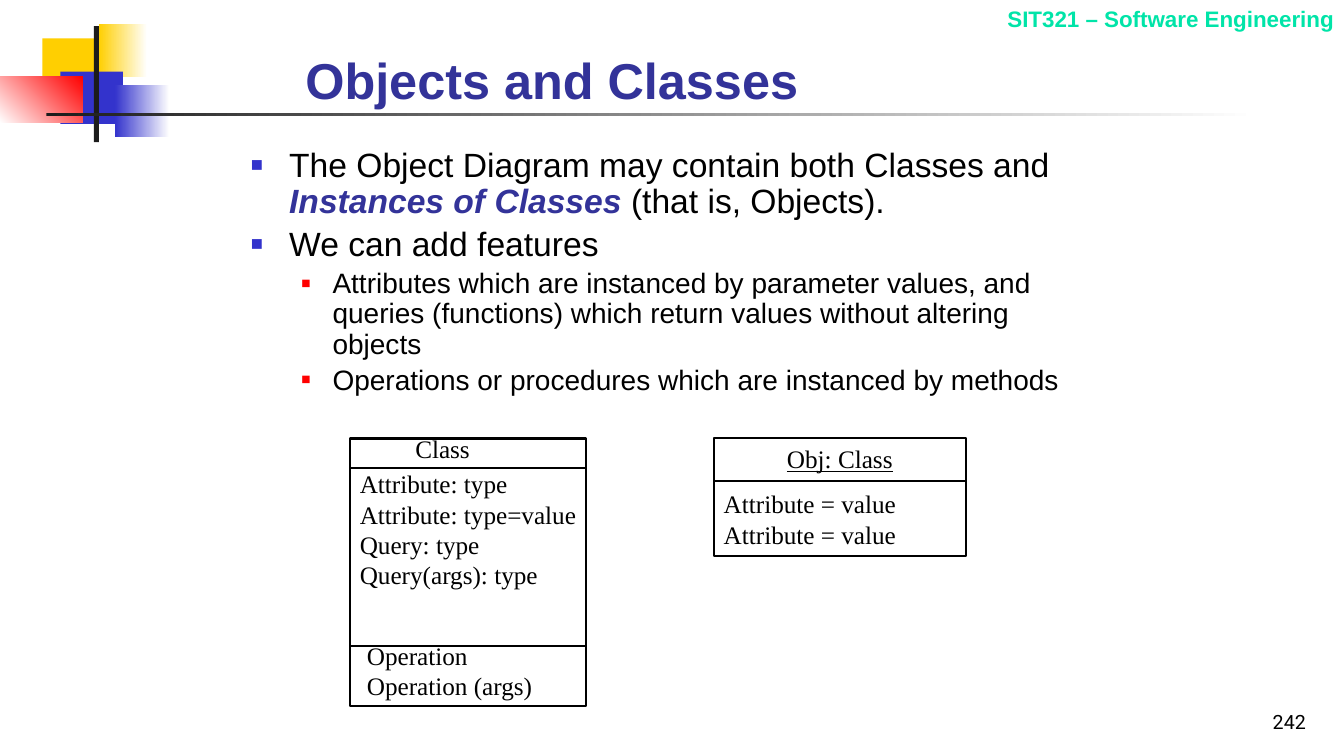
from dataclasses import dataclass

from lxml import etree
from pptx import Presentation
from pptx.dml.color import RGBColor
from pptx.enum import shapes, text
from pptx.oxml import ns
from pptx.util import Inches, Pt


@dataclass(frozen=True)
class Theme:
    sans: str = "Arial"
    serif: str = "Times New Roman"
    number_font: str = "Roboto"
    black: str = "000000"
    white: str = "FFFFFF"
    ink: str = "1C1C1C"
    yellow: str = "FFCF01"
    blue: str = "3333CC"
    red: str = "FF0000"
    heading: str = "333399"
    course: str = "00E4A8"
    title_size: int = 36
    point_size: int = 24
    subpoint_size: int = 20
    diagram_size: int = 18
    course_size: int = 16
    number_size: int = 14
    line_width: float = 1.5


THEME = Theme()

# Left, top, width, height, colours (two make a gradient), angle
ORNAMENTS = [
    (0.42, 0.38, 0.64, 0.52, [THEME.yellow], 0),
    (0.98, 0.24, 0.48, 0.52, [THEME.yellow, THEME.white], 0),
    (0.6, 0.71, 0.62, 0.52, [THEME.blue], 0),
    (1.14, 0.84, 0.54, 0.52, [THEME.blue, THEME.white], 0),
    (0, 0.76, 0.82, 0.46, [THEME.white, THEME.red], 45),
    (0.93, 0.26, 0.05, 1.15, [THEME.ink], 0),
    (0.46, 1.12, 12, 0.03, [THEME.ink, THEME.white], 0),
]

# Level, then pieces of text with an emphasis flag
POINTS = [
    (0, [("The Object Diagram may contain both Classes and ", False),
         ("Instances of Classes", True),
         (" (that is, Objects).", False)]),
    (0, [("We can add features", False)]),
    (1, [("Attributes which are instanced by parameter values, and queries "
          "(functions) which return values without altering objects", False)]),
    (1, [("Operations or procedures which are instanced by methods", False)]),
]

# Per level: size, margin, hanging indent, bullet colour, bullet percent, space before
LEVELS = [
    (THEME.point_size, 0.38, 0.38, THEME.blue, 60, 5),
    (THEME.subpoint_size, 0.81, 0.31, THEME.red, 55, 4),
]


def style(span, font, size, color, bold=False, italic=False, underline=False):
    span.font.name = font
    span.font.size = Pt(size)
    span.font.color.rgb = RGBColor.from_string(color)
    span.font.bold = bold
    span.font.italic = italic
    span.font.underline = underline


def add_rectangle(parent, left, top, width, height):
    box = parent.add_shape(shapes.MSO_SHAPE.RECTANGLE, Inches(left), Inches(top),
                           Inches(width), Inches(height))
    box.shadow.inherit = False
    return box


def add_ornament(page, left, top, width, height, colors, angle):
    box = add_rectangle(page.shapes, left, top, width, height)
    box.line.fill.background()
    if len(colors) == 1:
        box.fill.solid()
        box.fill.fore_color.rgb = RGBColor.from_string(colors[0])
        return
    box.fill.gradient()
    box.fill.gradient_angle = angle
    for stop, color, position in zip(box.fill.gradient_stops, colors, (0, 1)):
        stop.color.rgb = RGBColor.from_string(color)
        stop.position = position


def add_frame(parent, left, top, width, height):
    """Add an empty wrapping text box and return its text frame."""
    box = parent.add_textbox(Inches(left), Inches(top), Inches(width), Inches(height))
    box.text_frame.word_wrap = True
    return box.text_frame


def add_label(parent, place, words, font, size, color, align=text.PP_ALIGN.LEFT,
              anchor=text.MSO_ANCHOR.TOP, **emphasis):
    frame = add_frame(parent, *place)
    frame.vertical_anchor = anchor
    frame.text = words
    para = frame.paragraphs[0]
    para.alignment = align
    for span in para.runs:
        style(span, font, size, color, **emphasis)


def set_bullet(para, margin, hanging, color, percent):
    props = para._p.get_or_add_pPr()
    props.set("marL", str(Inches(margin)))
    props.set("indent", str(-Inches(hanging)))
    bullet_color = etree.SubElement(props, ns.qn("a:buClr"))
    etree.SubElement(bullet_color, ns.qn("a:srgbClr"), val=color)
    etree.SubElement(props, ns.qn("a:buSzPct"), val=str(percent * 1000))
    etree.SubElement(props, ns.qn("a:buFont"), typeface=THEME.sans)
    etree.SubElement(props, ns.qn("a:buChar"), char="■")


def add_points(page):
    frame = add_frame(page.shapes, 2.39, 1.42, 8.5, 2.59)
    for index, (level, pieces) in enumerate(POINTS):
        size, margin, hanging, color, percent, before = LEVELS[level]
        para = frame.add_paragraph() if index else frame.paragraphs[0]
        para.level = level
        set_bullet(para, margin, hanging, color, percent)
        para.line_spacing = 0.9
        para.space_before = Pt(before if index else 0)
        for words, strong in pieces:
            span = para.add_run()
            span.text = words
            style(span, THEME.sans, size, THEME.heading if strong else THEME.black,
                  bold=strong, italic=strong)


def add_divider(parent, left, right, height):
    line = parent.add_connector(shapes.MSO_CONNECTOR.STRAIGHT, Inches(left),
                                Inches(height), Inches(right), Inches(height))
    line.line.color.rgb = RGBColor.from_string(THEME.black)
    line.line.width = Pt(THEME.line_width)
    etree.SubElement(line._element.spPr, ns.qn("a:effectLst"))


def add_diagram(page, outline, dividers, labels):
    """Draw a compartment box; labels are (place, lines, extra formatting)."""
    parts = page.shapes.add_group_shape().shapes
    box = add_rectangle(parts, *outline)
    box.fill.background()
    box.line.color.rgb = RGBColor.from_string(THEME.black)
    box.line.width = Pt(THEME.line_width)
    left, _, width, _ = outline
    for height in dividers:
        add_divider(parts, left, left + width, height)
    for place, lines, extra in labels:
        add_label(parts, place, "\v".join(lines), THEME.serif, THEME.diagram_size,
                  THEME.black, **extra)


def main():
    deck = Presentation()
    deck.slide_width, deck.slide_height = Inches(13.33), Inches(7.5)
    page = deck.slides.add_slide(deck.slide_layouts[6])

    for ornament in ORNAMENTS:
        add_ornament(page, *ornament)
    add_label(page.shapes, (8.03, 0, 5.3, 0.37), "SIT321 – Software Engineering",
              THEME.sans, THEME.course_size, THEME.course,
              align=text.PP_ALIGN.RIGHT, bold=True)
    add_label(page.shapes, (10.27, 6.83, 2.78, 0.5), "242",
              THEME.number_font, THEME.number_size, THEME.black,
              align=text.PP_ALIGN.RIGHT, anchor=text.MSO_ANCHOR.BOTTOM)
    add_label(page.shapes, (2.93, 0.23, 8.52, 0.91), "Objects and Classes",
              THEME.sans, THEME.title_size, THEME.heading,
              anchor=text.MSO_ANCHOR.BOTTOM, bold=True)
    add_points(page)

    add_diagram(page, (3.47, 4.35, 2.34, 2.65), [4.64, 6.41], [
        ((3.47, 4.6, 2.41, 1.3), ["Attribute: type", "Attribute: type=value",
                                  "Query: type", "Query(args): type"], {}),
        ((4.02, 4.25, 0.99, 0.4), ["Class"], {}),
        ((3.54, 6.3, 1.95, 0.7), ["Operation", "Operation (args)"], {}),
    ])
    add_diagram(page, (7.08, 4.35, 2.5, 1.17), [4.77], [
        ((7.08, 4.35, 2.5, 0.4), ["Obj: Class"],
         {"align": text.PP_ALIGN.CENTER, "underline": True}),
        ((7.08, 4.8, 2.5, 0.7), ["Attribute = value"] * 2, {}),
    ])
    deck.save("out.pptx")


if __name__ == "__main__":
    main()
